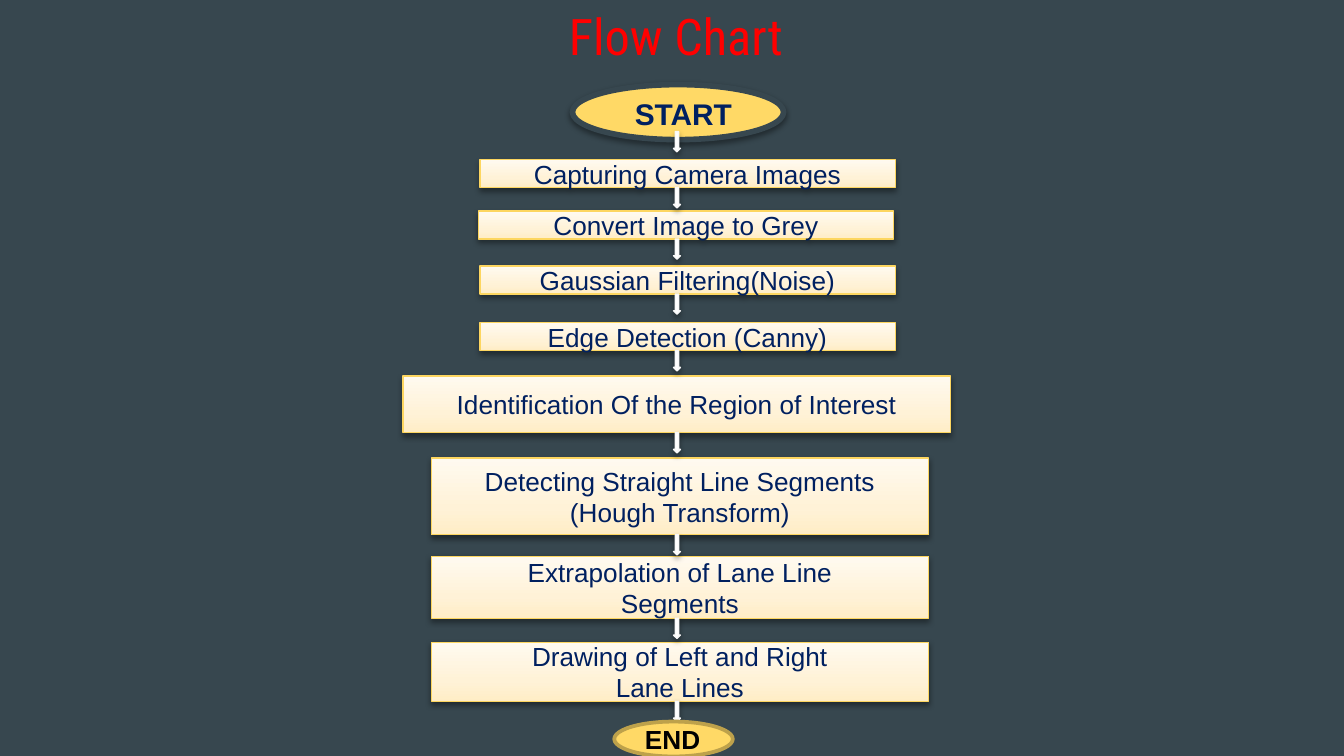
from copy import deepcopy
from dataclasses import dataclass

from pptx import Presentation
from pptx.dml.color import RGBColor
from pptx.enum.shapes import MSO_SHAPE
from pptx.enum.text import MSO_ANCHOR, MSO_AUTO_SIZE, PP_ALIGN
from pptx.oxml import parse_xml
from pptx.oxml.ns import nsdecls, qn
from pptx.shapes.autoshape import Shape
from pptx.slide import Slide
from pptx.util import Cm, Pt

SLATE = RGBColor(0x37, 0x47, 0x4F)
RED = RGBColor(0xFF, 0x00, 0x00)
NAVY = RGBColor(0x00, 0x20, 0x60)
BLACK = RGBColor(0x00, 0x00, 0x00)
WHITE = RGBColor(0xFF, 0xFF, 0xFF)
PALE = RGBColor(0xF9, 0xF9, 0xF9)
GOLD = RGBColor(0xFF, 0xD9, 0x66)
BRONZE = RGBColor(0xBD, 0xA1, 0x4B)
EDGE = RGBColor(0xFD, 0xD6, 0x60)
STOPS = [
    (0, RGBColor(0xFF, 0xED, 0xC6)),
    (0.35, RGBColor(0xFF, 0xF2, 0xD7)),
    (1, RGBColor(0xFF, 0xFA, 0xF0)),
]
STEP_FONT = {"name": "Arial", "size": Pt(14), "bold": False}
ARROW_X, ARROW_W, ARROW_H = 12.73, 0.13, 0.38


@dataclass
class Box:
    """Place and size in centimetres."""
    left: float
    top: float
    width: float
    height: float

    def frame(self) -> list:
        return [Cm(v) for v in (self.left, self.top, self.width, self.height)]


@dataclass
class Step:
    box: Box
    lines: list[str]


STEPS = [
    Step(Box(9.07, 3.02, 7.85, 0.53), ["Capturing Camera Images"]),
    Step(Box(9.04, 3.99, 7.85, 0.53), ["Convert Image to Grey"]),
    Step(Box(9.07, 5.03, 7.85, 0.53), ["Gaussian Filtering(Noise)"]),
    Step(Box(9.07, 6.10, 7.85, 0.53), ["Edge Detection (Canny)"]),
    Step(Box(7.62, 7.11, 10.34, 1.07),
         ["Identification Of the Region of Interest"]),
    Step(Box(8.15, 8.66, 9.40, 1.45),
         ["Detecting Straight Line Segments", "(Hough Transform)"]),
    Step(Box(8.15, 10.52, 9.40, 1.17),
         ["Extrapolation of Lane Line", "Segments"]),
    Step(Box(8.15, 12.14, 9.40, 1.12),
         ["Drawing of Left and Right", "Lane Lines"]),
]


def style(target, values: dict) -> None:
    for key, value in values.items():
        setattr(target, key, value)


def write(frame, lines: list[str], color: RGBColor, font: dict,
          align=PP_ALIGN.CENTER) -> None:
    for i, line in enumerate(lines):
        para = frame.paragraphs[0] if i == 0 else frame.add_paragraph()
        para.alignment = align
        run = para.add_run()
        run.text = line
        style(run.font, font)
        run.font.color.rgb = color


def cast(shape: Shape) -> None:
    """Add a soft shadow straight below the shape."""
    shape._element.spPr.append(parse_xml(
        f'<a:effectLst {nsdecls("a")}>'
        f'<a:outerShdw blurRad="{Pt(3.1)}" dist="{Pt(1.6)}" dir="5400000" '
        'rotWithShape="0"><a:srgbClr val="000000"><a:alpha val="38000"/>'
        '</a:srgbClr></a:outerShdw></a:effectLst>'))


def draw(slide: Slide, kind: MSO_SHAPE, box: Box, fill: RGBColor | None,
         line: RGBColor, width: float, shadow: bool = True) -> Shape:
    shape = slide.shapes.add_shape(kind, *box.frame())
    if fill is None:
        shape.fill.gradient()
        shape.fill.gradient_angle = 90
        stops = shape._element.spPr.find(".//" + qn("a:gsLst"))
        stops.insert(1, deepcopy(stops[0]))
        for stop, (place, color) in zip(shape.fill.gradient_stops, STOPS):
            stop.position = place
            stop.color.rgb = color
    else:
        shape.fill.solid()
        shape.fill.fore_color.rgb = fill
    shape.line.color.rgb = line
    shape.line.width = Pt(width)
    if shadow:
        cast(shape)
    else:
        shape.shadow.inherit = False
    return shape


def arrow(slide: Slide, top: float) -> None:
    draw(slide, MSO_SHAPE.DOWN_ARROW, Box(ARROW_X, top, ARROW_W, ARROW_H),
         WHITE, PALE, 0.75)


def label(slide: Slide, box: Box, text: str, color: RGBColor, size: int,
          inset: float) -> None:
    frame = slide.shapes.add_textbox(*box.frame()).text_frame
    style(frame, {"word_wrap": True, "margin_left": Cm(inset),
                  "auto_size": MSO_AUTO_SIZE.SHAPE_TO_FIT_TEXT})
    write(frame, [text], color,
          {"name": "Arial", "size": Pt(size), "bold": True}, PP_ALIGN.LEFT)


def main() -> None:
    deck = Presentation()
    style(deck, {"slide_width": Cm(25.4), "slide_height": Cm(14.29)})
    slide = deck.slides.add_slide(deck.slide_layouts[5])
    slide.background.fill.solid()
    slide.background.fill.fore_color.rgb = SLATE

    # Title
    title = slide.shapes.title
    place = Box(0.94, -0.13, 23.67, 1.6).frame()
    style(title, dict(zip(("left", "top", "width", "height"), place)))
    sides = ("margin_left", "margin_top", "margin_right", "margin_bottom")
    style(title.text_frame, dict.fromkeys(sides, Cm(0.25)))
    style(title.text_frame, {"vertical_anchor": MSO_ANCHOR.MIDDLE,
                             "auto_size": MSO_AUTO_SIZE.NONE,
                             "word_wrap": True})
    write(title.text_frame, ["Flow Chart"], RED,
          {"name": "Roboto Condensed", "size": Pt(27), "bold": False})

    # Start
    draw(slide, MSO_SHAPE.OVAL, Box(10.82, 1.6, 3.99, 1.04), GOLD, SLATE, 3)
    label(slide, Box(11.48, 1.68, 3, 0.94), "START", NAVY, 16, 0.52)

    # Steps
    for step in STEPS:
        shape = draw(slide, MSO_SHAPE.RECTANGLE, step.box, None, EDGE, 0.75)
        shape.text_frame.vertical_anchor = MSO_ANCHOR.MIDDLE
        write(shape.text_frame, step.lines, NAVY, STEP_FONT)

    # Arrows: one below the start, then one below each step
    arrow(slide, 2.49)
    for step in STEPS:
        arrow(slide, step.box.top + step.box.height)

    # End
    draw(slide, MSO_SHAPE.OVAL, Box(11.61, 13.64, 2.24, 0.66), GOLD, BRONZE,
         2, shadow=False)
    label(slide, Box(11.94, 13.54, 1.55, 0.86), "END", BLACK, 14, 0.25)

    deck.save("out.pptx")


if __name__ == "__main__":
    main()
